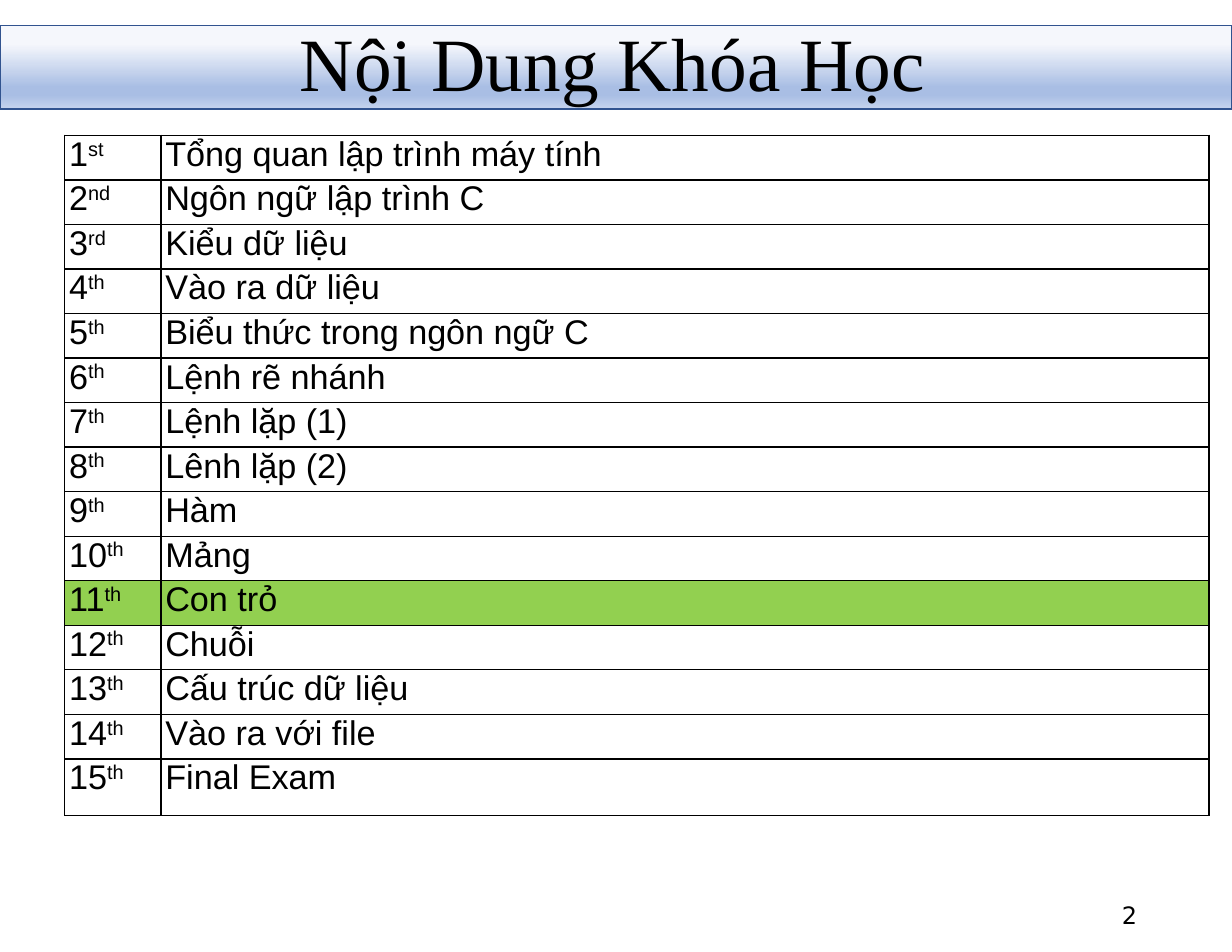
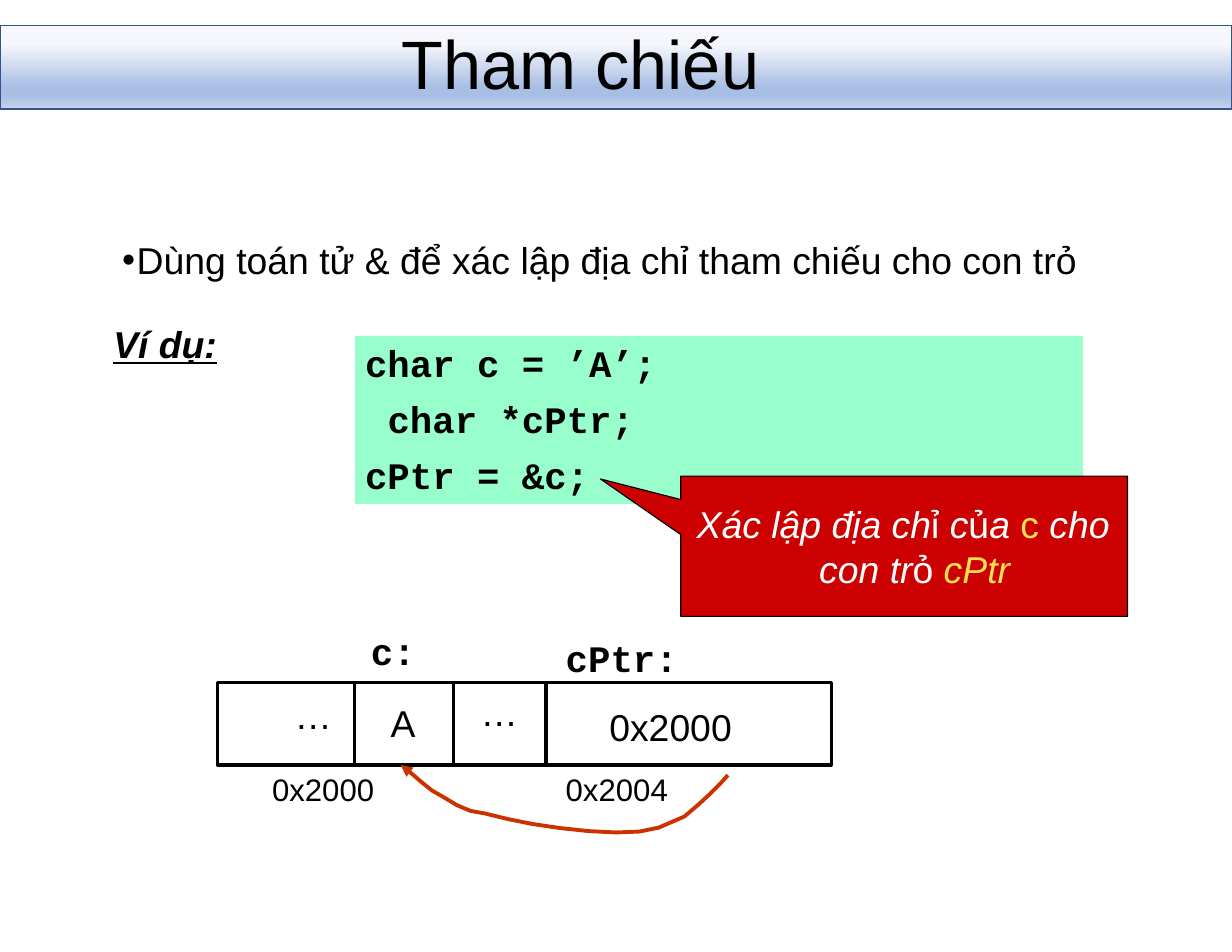
"""Build two slides of a C programming course: the course outline and pointer references."""
import pptx
import pptx.dml.color
import pptx.enum.shapes
import pptx.enum.text
import pptx.oxml.ns
import pptx.util
from lxml import etree

Cm, Pt = pptx.util.Cm, pptx.util.Pt
RGB = pptx.dml.color.RGBColor.from_string
qn = pptx.oxml.ns.qn
SHAPE = pptx.enum.shapes.MSO_SHAPE
ALIGN = pptx.enum.text.PP_ALIGN
ANCHOR = pptx.enum.text.MSO_ANCHOR

THEME = {
    "ink": "000000", "white": "FFFFFF", "band_line": "31538F",
    "band": [(0, "F5F7FC"), (22, "F5F7FC"), (74, "A9BEE4"), (83, "A9BEE4"), (100, "C5D3ED")],
    "current": "92D050", "code": "98FFCC", "callout": "CC0000", "name": "FBDF52", "arrow": "CC3200",
    "sans": "Arial", "serif": "Times New Roman", "mono": "Courier New", "number": "DejaVu Sans",
    "outline_title": 48.4, "title": 44, "body": 24, "table": 22, "address": 20, "page": 15.4,
}


def style(paragraph, size, font="sans", color="ink", bold=False, italic=False):
    paragraph.font.size = Pt(THEME[size])
    paragraph.font.name = THEME[font]
    paragraph.font.color.rgb = RGB(THEME[color])
    paragraph.font.bold = bold
    paragraph.font.italic = italic


def place(shape, left, top, width, height, inset=0, anchor=ANCHOR.TOP):
    shape.left, shape.top, shape.width, shape.height = Cm(left), Cm(top), Cm(width), Cm(height)
    frame = shape.text_frame
    frame.margin_left = frame.margin_right = Cm(inset)
    frame.margin_top = frame.margin_bottom = 0
    frame.auto_size = pptx.enum.text.MSO_AUTO_SIZE.NONE
    frame.word_wrap = True
    frame.vertical_anchor = anchor
    return frame


deck = pptx.Presentation()
deck.slide_width, deck.slide_height = Cm(27.94), Cm(21.59)
outline = deck.slides.add_slide(deck.slide_layouts[5])
reference = deck.slides.add_slide(deck.slide_layouts[1])

for slide, heading, size, font, box in [
    (outline, "Nội Dung Khóa Học", "outline_title", "serif", (6.8, 0.58, 20, 1.9)),
    (reference, "Tham chiếu", "title", "sans", (9.11, 0.45, 10, 1.93)),
]:
    band = slide.shapes.add_shape(SHAPE.RECTANGLE, 0, Cm(0.58), deck.slide_width, Cm(1.9))
    band.shadow.inherit = False
    band.fill.gradient()
    band.fill.gradient_angle = 270
    stops = band._element.spPr.find(".//" + qn("a:gsLst"))
    for stop in list(stops):
        stops.remove(stop)
    for position, shade in THEME["band"]:
        stop = etree.SubElement(stops, qn("a:gs"), pos=str(position * 1000))
        etree.SubElement(stop, qn("a:srgbClr"), val=shade)
    band.line.color.rgb = RGB(THEME["band_line"])
    band.line.width = Pt(1)
    slide.shapes._spTree.insert(2, band._element)

    title = place(slide.shapes.title, *box, anchor=ANCHOR.MIDDLE)
    title.text = heading
    title.paragraphs[0].alignment = ALIGN.LEFT
    title.paragraphs[0].line_spacing = 0.9 if slide is outline else 1.0
    style(title.paragraphs[0], size, font)

lessons = [
    "Tổng quan lập trình máy tính", "Ngôn ngữ lập trình C", "Kiểu dữ liệu", "Vào ra dữ liệu",
    "Biểu thức trong ngôn ngữ C", "Lệnh rẽ nhánh", "Lệnh lặp (1)", "Lênh lặp (2)", "Hàm", "Mảng",
    "Con trỏ", "Chuỗi", "Cấu trúc dữ liệu", "Vào ra với file", "Final Exam",
]
ordinals = {1: "st", 2: "nd", 3: "rd"}
schedule = outline.shapes.add_table(
    len(lessons), 2, Cm(1.47), Cm(3.07), Cm(25.95), Cm(15.43)).table
schedule.first_row = schedule.horz_banding = False
schedule.columns[0].width, schedule.columns[1].width = Cm(2.18), Cm(23.77)
for week, lesson in enumerate(lessons, 1):
    row = schedule.rows[week - 1]
    row.height = Cm(1.29 if week == len(lessons) else 1.01)
    for cell, words in zip(row.cells, (str(week), lesson)):
        cell.margin_left = cell.margin_right = Cm(0.1)
        cell.margin_top = cell.margin_bottom = 0
        cell_format = cell._tc.get_or_add_tcPr()
        for side in ("a:lnL", "a:lnR", "a:lnT", "a:lnB"):
            border = etree.SubElement(cell_format, qn(side), w=str(Pt(1)))
            ink = etree.SubElement(border, qn("a:solidFill"))
            etree.SubElement(ink, qn("a:srgbClr"), val=THEME["ink"])
        if lesson == "Con trỏ":
            cell.fill.solid()
            cell.fill.fore_color.rgb = RGB(THEME["current"])
        else:
            cell.fill.background()
        entry = cell.text_frame.paragraphs[0]
        entry.alignment = ALIGN.JUSTIFY
        style(entry, "table")
        entry.add_run().text = words
    suffix = row.cells[0].text_frame.paragraphs[0].add_run()
    suffix.text = ordinals.get(week, "th")
    suffix._r.get_or_add_rPr().set("baseline", "30000")

page = place(outline.shapes.add_textbox(0, 0, 0, 0), 22.53, 20.19, 3.51, 1.14, 0.25, ANCHOR.MIDDLE)
page.text = "2"
page.paragraphs[0].alignment = ALIGN.RIGHT
style(page.paragraphs[0], "page", "number")

rule = place(reference.placeholders[1], 2.77, 5.38, 22.5, 1.1)
rule.text = "Dùng toán tử & để xác lập địa chỉ tham chiếu cho con trỏ"
rule_format = rule.paragraphs[0]._p.get_or_add_pPr()
rule_format.set("marL", str(Cm(0.33)))
rule_format.set("indent", str(-Cm(0.33)))
etree.SubElement(rule_format, qn("a:buChar"), char="•")
rule.paragraphs[0].space_before = Pt(0)
style(rule.paragraphs[0], "body")

code_panel = reference.shapes.add_shape(SHAPE.RECTANGLE, Cm(8.05), Cm(7.62), Cm(16.51), Cm(3.81))
code_panel.shadow.inherit = False
code_panel.fill.solid()
code_panel.fill.fore_color.rgb = RGB(THEME["code"])
code_panel.line.fill.background()
code = place(reference.shapes.add_textbox(0, 0, 0, 0), 8.28, 7.47, 12, 3.85)
code.text = "char c = ’A’;\nchar *cPtr;\ncPtr = &c;"
for statement in code.paragraphs:
    statement.line_spacing = Pt(36)
    style(statement, "body", "mono", bold=True)
code.paragraphs[1]._p.get_or_add_pPr().set("marL", str(Cm(0.51)))

callout = reference.shapes.add_shape(SHAPE.RECTANGULAR_CALLOUT, 0, 0, 0, 0)
explanation = place(callout, 15.44, 10.8, 10.13, 3.18, 0.3, ANCHOR.MIDDLE)
callout.adjustments[0], callout.adjustments[1] = -0.68, -0.48
callout.shadow.inherit = False
callout.fill.solid()
callout.fill.fore_color.rgb = RGB(THEME["callout"])
callout.line.color.rgb = RGB(THEME["ink"])
callout.line.width = Pt(0.75)
note = explanation.paragraphs[0]
note.alignment = ALIGN.LEFT
note_format = note._p.get_or_add_pPr()
note_format.set("marL", str(Cm(2.84)))
note_format.set("indent", str(-Cm(2.78)))
for words, color, italic in [
    ("Xác lập địa ch", "white", True), ("ỉ ", "white", False), ("c", "white", True),
    ("ủ", "white", False), ("a ", "white", True), ("c ", "name", False),
    ("cho con tr", "white", True), ("ỏ ", "white", False), ("cPtr", "name", True),
]:
    run = note.add_run()
    run.text = words
    run.font.size = Pt(THEME["body"])
    run.font.name = THEME["sans"]
    run.font.color.rgb = RGB(THEME[color])
    run.font.italic = italic

for left, width in [(4.93, 7.44), (8.05, 2.24), (12.4, 6.45)]:
    memory = reference.shapes.add_shape(SHAPE.RECTANGLE, Cm(left), Cm(15.47), Cm(width), Cm(1.88))
    memory.shadow.inherit = False
    memory.fill.background()
    memory.line.color.rgb = RGB(THEME["ink"])
    memory.line.width = Pt(2)

for words, left, top, size, font, bold in [
    ("Ví dụ:", 2.57, 7.29, "body", "sans", True),
    ("c:", 8.41, 14.25, "body", "mono", True),
    ("cPtr:", 12.83, 14.4, "body", "mono", True),
    ("…", 6.68, 15.69, "body", "sans", False),
    ("A", 8.86, 15.87, "body", "sans", False),
    ("…", 10.9, 15.62, "body", "sans", False),
    ("0x2000", 13.82, 15.98, "body", "sans", False),
    ("0x2000", 6.17, 17.47, "address", "sans", False),
    ("0x2004", 12.83, 17.47, "address", "sans", False),
]:
    label = place(reference.shapes.add_textbox(0, 0, 0, 0), left, top, 3.5, 1.1)
    label.text = words
    example = words == "Ví dụ:"
    style(label.paragraphs[0], size, font, bold=bold, italic=example)
    label.paragraphs[0].font.underline = example

route = [
    (16.51, 17.58), (16.33, 17.78), (16.13, 17.98), (15.85, 18.24), (15.52, 18.52), (15.24, 18.64),
    (14.94, 18.77), (14.5, 18.86), (13.97, 18.88), (13.36, 18.85), (12.7, 18.78), (12.09, 18.69),
    (11.53, 18.58), (11, 18.45), (10.67, 18.39), (10.36, 18.26), (10.06, 18.08), (9.8, 17.93),
    (9.55, 17.73), (9.32, 17.53), (9.09, 17.35),
]
points = [(Cm(x), Cm(y)) for x, y in route]
builder = reference.shapes.build_freeform(*points[0])
builder.add_line_segments(points[1:], close=False)
pointer = builder.convert_to_shape()
pointer.shadow.inherit = False
pointer.fill.background()
pointer.line.color.rgb = RGB(THEME["arrow"])
pointer.line.width = Pt(2.5)
etree.SubElement(pointer.line._get_or_add_ln(), qn("a:tailEnd"), type="triangle")

deck.save("out.pptx")
